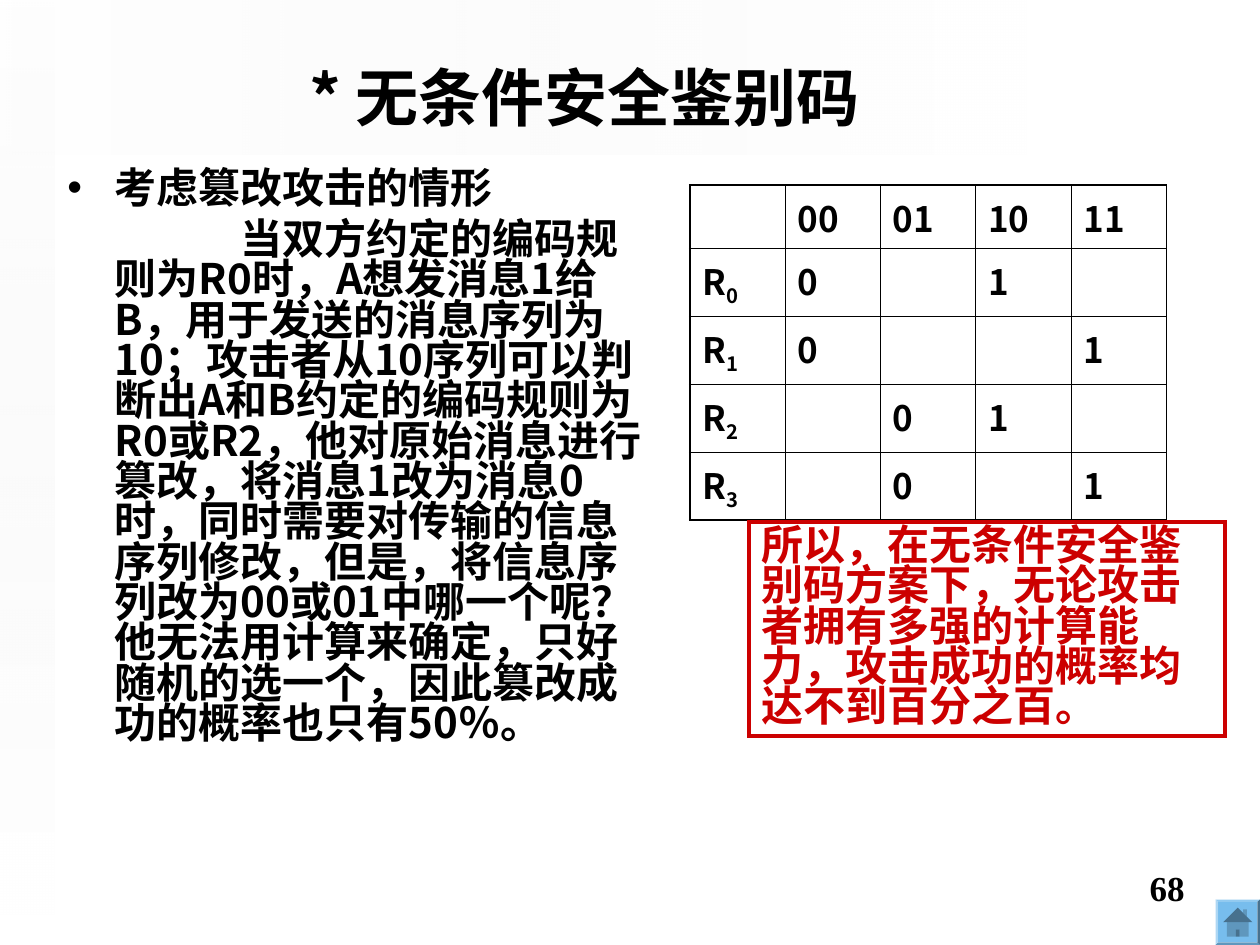
from lxml import etree
from pptx import Presentation, util as u
from pptx.dml.color import RGBColor
from pptx.enum import shapes, text
from pptx.oxml import ns

Pt = u.Pt
BLACK = RGBColor(0x00, 0x00, 0x00)
RED = RGBColor(0xCC, 0x00, 0x00)
GREY = RGBColor(0xEA, 0xEA, 0xEA)
WHITE = RGBColor(0xFF, 0xFF, 0xFF)
BLUE = RGBColor(0x77, 0xBD, 0xED)
SANS = "Noto Sans CJK SC"
KIND = shapes.MSO_SHAPE
LEFT, MID, RIGHT = text.PP_ALIGN.LEFT, text.PP_ALIGN.CENTER, text.PP_ALIGN.RIGHT

TITLE = "* 无条件安全鉴别码"
HEAD = "考虑篡改攻击的情形"
BODY = (
    "\t\t当双方约定的编码规则为R0时，A想发消息1给B，用于发送的消息序列为10；"
    "攻击者从10序列可以判断出A和B约定的编码规则为R0或R2，他对原始消息进行篡改，"
    "将消息1改为消息0时，同时需要对传输的信息序列修改，但是，"
    "将信息序列改为00或01中哪一个呢？他无法用计算来确定，只好随机的选一个，"
    "因此篡改成功的概率也只有50％。"
)
NOTE = (
    "所以，在无条件安全鉴别码方案下，无论攻击者拥有多强的计算能力，"
    "攻击成功的概率均达不到百分之百。"
)
CODES = [
    ["", "00", "01", "10", "11"],
    ["R0", "0", "", "1", ""],
    ["R1", "0", "", "", "1"],
    ["R2", "", "0", "1", ""],
    ["R3", "", "0", "", "1"],
]


def sub(node, tag, **attrs):
    return etree.SubElement(node, ns.qn("a:" + tag), attrs)


def style(par, size, color=BLACK, face=SANS, align=LEFT):
    par.alignment = align
    par._p.get_or_add_pPr().set("hangingPunct", "0")
    font = par.font
    font.size, font.bold, font.name = Pt(size), True, face
    font.color.rgb = color
    sub(font._element, "ea", typeface=SANS)


def hang(par):
    props = par._p.get_or_add_pPr()
    props.set("marL", str(Pt(27)))
    props.set("indent", str(-Pt(27)))
    props.set("defTabSz", str(Pt(72)))
    return props


def add_box(slide, x, y, w, h):
    frame = slide.shapes.add_textbox(Pt(x), Pt(y), Pt(w), Pt(h)).text_frame
    frame.word_wrap = True
    return frame


def add_shape(slide, kind, x, y, w, h):
    shape = slide.shapes.add_shape(kind, Pt(x), Pt(y), Pt(w), Pt(h))
    shape.shadow.inherit = False
    return shape


def add_fade(slide, x, y, w, h, turn, alpha):
    band = add_shape(slide, KIND.RECTANGLE, x, y, w, h)
    band.rotation = turn
    band.line.fill.background()
    band.fill.gradient()
    band.fill.gradient_angle = 90
    for stop, color, pos, part in zip(
        band.fill.gradient_stops, (GREY, WHITE), (0, 1), (0, alpha)
    ):
        stop.color.rgb = color
        stop.position = pos
        sub(stop._gs[0], "alpha", val=str(part * 1000))


def add_home(slide):
    x, y, w, h, rim = 694.6, 514, 25.4, 26, 1.6
    bevel = add_shape(slide, KIND.BEVEL, x, y, w, h)
    bevel.adjustments[0] = 0.06
    icon = add_shape(slide, KIND.ACTION_BUTTON_HOME,
                     x + rim, y + rim, w - 2 * rim, h - 2 * rim)
    for part in (bevel, icon):
        part.fill.solid()
        part.fill.fore_color.rgb = BLUE
        part.line.fill.background()


def add_body(slide):
    frame = add_box(slide, 31.4, 94.5, 351.4, 385)
    head, para = frame.paragraphs[0], frame.add_paragraph()
    head.text, para.text = HEAD, BODY
    para.space_before = Pt(6)
    head.line_spacing = para.line_spacing = 0.8
    # Bullet on the heading, tab stops every inch on the paragraph
    props = hang(head)
    sub(props, "buFont", typeface="Arial")
    sub(props, "buChar", char="•")
    props = hang(para)
    sub(props, "buNone")
    tabs = sub(props, "tabLst")
    for n in range(8):
        sub(tabs, "tab", pos=str(Pt(72 * n)), algn="l")
    for par in (head, para):
        style(par, 24)


def edge(cell, sides):
    props = cell._tc.get_or_add_tcPr()
    for n, (side, outer) in enumerate(sides):
        line = etree.Element(ns.qn("a:ln" + side), w=str(Pt(1.08 if outer else 0.45)))
        sub(sub(line, "solidFill"), "srgbClr", val=str(BLACK))
        props.insert(n, line)


def fill_cell(cell, word):
    par = cell.text_frame.paragraphs[0]
    if word.startswith("R"):
        par.add_run().text = word[0]
        low = par.add_run()
        low.text = word[1:]
        low.font._element.set("baseline", "-25000")
    elif word:
        par.text = word
    style(par, 20)


def add_codes(slide):
    rows, cols = len(CODES), len(CODES[0])
    grid = slide.shapes.add_table(
        rows, cols, Pt(394.1), Pt(105.8), Pt(272.5), Pt(191.4)
    ).table
    grid.first_row = grid.horz_banding = False
    for col in grid.columns:
        col.width = Pt(54.5)
    for r, row in enumerate(CODES):
        grid.rows[r].height = Pt(38.85 if r else 36)
        for c, word in enumerate(row):
            cell = grid.cell(r, c)
            cell.fill.background()
            fill_cell(cell, word)
            edge(cell, [("L", c == 0), ("R", c == cols - 1),
                        ("T", r == 0), ("B", r == rows - 1)])


def add_note(slide):
    box = add_shape(slide, KIND.RECTANGLE, 428, 298.3, 272.2, 122.4)
    box.fill.background()
    box.line.color.rgb = RED
    box.line.width = Pt(2.25)
    sub(box.line._get_or_add_ln(), "miter", lim="800000")
    frame = box.text_frame
    frame.word_wrap = True
    frame.vertical_anchor = text.MSO_ANCHOR.TOP
    frame.auto_size = text.MSO_AUTO_SIZE.SHAPE_TO_FIT_TEXT
    par = frame.paragraphs[0]
    par.text = NOTE
    par.line_spacing = 0.8
    style(par, 24, RED, "Arial")


def main():
    deck = Presentation()
    deck.slide_width, deck.slide_height = Pt(720), Pt(540)
    slide = deck.slides.add_slide(deck.slide_layouts[6])

    # Faded bands and home button
    add_fade(slide, 249.1, -249.1, 88.6, 586.8, 90, 49)
    add_fade(slide, 0, 0, 31, 522.7, 180, 65)
    add_home(slide)

    # Title
    frame = add_box(slide, 19.6, 20.2, 629.3, 69.8)
    frame.vertical_anchor = text.MSO_ANCHOR.MIDDLE
    frame.paragraphs[0].text = TITLE
    style(frame.paragraphs[0], 36, align=MID)

    # Content
    add_body(slide)
    add_codes(slide)
    add_note(slide)

    # Page number
    par = add_box(slide, 516.2, 491.8, 167.8, 37.4).paragraphs[0]
    par.text = "68"
    style(par, 20, face="Times New Roman", align=RIGHT)

    deck.save("out.pptx")


if __name__ == "__main__":
    main()
